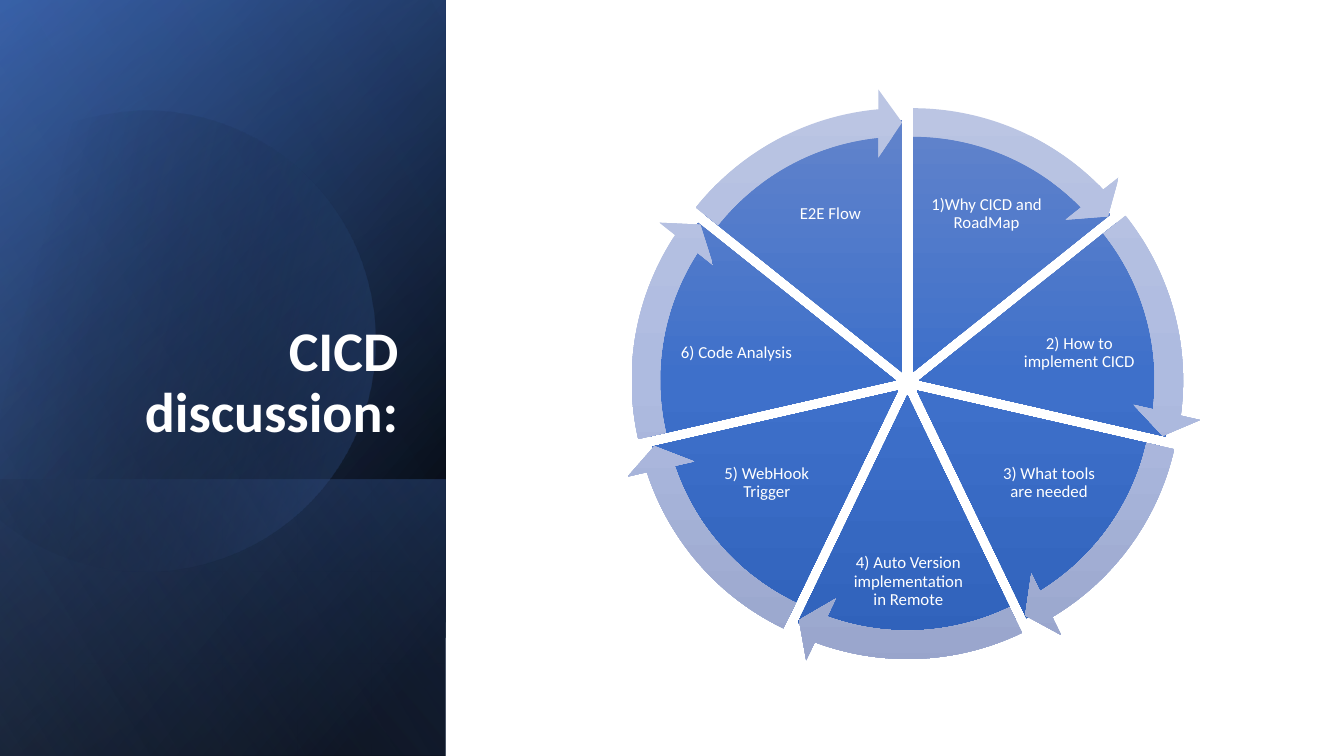
from math import cos, radians, sin

from lxml.etree import SubElement
from pptx import Presentation
from pptx.dml.color import RGBColor
from pptx.enum.shapes import MSO_SHAPE as Shape
from pptx.enum.text import MSO_ANCHOR as Anchor, PP_ALIGN as Align
from pptx.oxml.ns import qn
from pptx.util import Inches, Pt

FONT = "Calibri"
COLORS = {
    "black": "000000", "navy": "2F5597", "blue": "4472C4", "sky": "8FAADC",
    "white": "FFFFFF",
    "slice_top": "6183CB", "slice_mid": "3E70CA", "slice_end": "3062BB",
    "arrow_top": "BBC5E3", "arrow_mid": "AEBBE0", "arrow_end": "98A4CB",
}
TITLE = "CICD discussion:"
STEPS = [
    ("1)Why CICD and RoadMap", (9.19, 1.65, 1.19, 0.95)),
    ("2) How to implement CICD", (10.02, 3.08, 1.37, 0.84)),
    ("3) What tools are needed", (9.81, 4.33, 1.19, 0.92)),
    ("4) Auto Version implementation in Remote", (8.43, 5.35, 1.16, 0.84)),
    ("5) WebHook Trigger", (7.01, 4.33, 1.19, 0.92)),
    ("6) Code Analysis", (6.62, 3.08, 1.37, 0.84)),
    ("E2E Flow", (7.64, 1.65, 1.19, 0.95)),
]

PANEL = (-1.54, 1.54, 7.5, 4.42)
PANELS = [
    (PANEL, [(8, "black", 100), (100, "navy", 100)], 50),
    (PANEL, [(0, "black", 0), (99, "blue", 46)], 30),
    ((0.84, 3.92, 2.74, 4.42), [(2, "blue", 29), (100, "black", 30)], 130),
]
SHEEN = (PANEL, [(0, "black", 0), (99, "sky", 11)], 120)
GLOW_STOPS = [(29, "black", 0), (100, "blue", 43)]
GLOW_CENTER, GLOW_TURN = (1.59, 3.35), 343.9
GLOW_START = (1.49, 1.1)
GLOW_CURVES = [
    [(2.46, 1.12), (3.35, 1.77), (3.63, 2.75)],
    [(3.98, 3.97), (3.28, 5.23), (2.07, 5.58)],
    [(1.31, 5.8), (0.53, 5.61), (-0.03, 5.14)],
    [(-0.15, 5.03)],
    [(-0.15, 1.75)],
    [(0, 1.61)],
    [(0.23, 1.42), (0.5, 1.28), (0.8, 1.19)],
    [(1.03, 1.13), (1.26, 1.1), (1.49, 1.1)],
]

WHEEL_CENTER, OFFSET = (9.0, 3.8), 0.12
SLICE_SIZE, ARROW_SIZE = 5.01, 5.63
FULL_TURN, TOP = 216, 162
SLICE_STOPS = [(0, "slice_top", 100), (50, "slice_mid", 100), (100, "slice_end", 100)]
ARROW_STOPS = [(0, "arrow_top", 100), (50, "arrow_mid", 100), (100, "arrow_end", 100)]


def paint(sp, stops, angle):
    sp.shadow.inherit = False
    sp.line.fill.background()
    sp.fill.gradient()
    grad = sp.element.spPr.find(qn("a:gradFill"))
    gs_list = grad.find(qn("a:gsLst"))
    for gs in list(gs_list):
        gs_list.remove(gs)
    for pos, color, opacity in stops:
        gs = SubElement(gs_list, qn("a:gs"), pos=str(pos * 1000))
        clr = SubElement(gs, qn("a:srgbClr"), val=COLORS[color])
        if opacity < 100:
            SubElement(clr, qn("a:alpha"), val=str(opacity * 1000))
    grad.find(qn("a:lin")).set("ang", str(angle * 60000))


def add_panel(shapes, box, stops, angle):
    sp = shapes.add_shape(Shape.RECTANGLE, *map(Inches, box))
    sp.rotation = 90
    sp.element.spPr.find(qn("a:xfrm")).set("flipH", "1")
    paint(sp, stops, angle)


def bezier(p0, p1, p2, p3, t):
    u = 1 - t
    return tuple(u**3 * a + 3 * u * u * t * b + 3 * u * t * t * c + t**3 * d
                 for a, b, c, d in zip(p0, p1, p2, p3))


def unturn(point):
    cx, cy = GLOW_CENTER
    dx, dy = point[0] - cx, point[1] - cy
    a = radians(-GLOW_TURN)
    return (Inches(cx + dx * cos(a) - dy * sin(a)),
            Inches(cy + dx * sin(a) + dy * cos(a)))


def add_glow(shapes):
    points = [GLOW_START]
    for curve in GLOW_CURVES:
        if len(curve) == 1:
            points += curve
        else:
            start = points[-1]
            points += [bezier(start, *curve, n / 24) for n in range(1, 25)]
    points = [unturn(p) for p in points]
    builder = shapes.build_freeform(*points[0])
    builder.add_line_segments(points[1:], close=True)
    sp = builder.convert_to_shape()
    sp.rotation = GLOW_TURN
    paint(sp, GLOW_STOPS, 30)


def write(tf, text, size, align, anchor, bold=False):
    tf.word_wrap = True
    tf.vertical_anchor = anchor
    p = tf.paragraphs[0]
    p.alignment = align
    p.line_spacing = 0.9
    r = p.add_run()
    r.text = text
    r.font.name, r.font.size, r.font.bold = FONT, Pt(size), bold
    r.font.color.rgb = RGBColor.from_string(COLORS["white"])


def add_sector(shapes, kind, index, size, adjustments, stops):
    mid = radians((index + 0.5) * 360 / len(STEPS) - 90)
    left = WHEEL_CENTER[0] + OFFSET * cos(mid) - size / 2
    top = WHEEL_CENTER[1] + OFFSET * sin(mid) - size / 2
    sp = shapes.add_shape(kind, *map(Inches, (left, top, size, size)))
    for i, value in enumerate(adjustments):
        sp.adjustments[i] = value
    paint(sp, stops, 90)


def add_label(shapes, text, box):
    tf = shapes.add_textbox(*map(Inches, box)).text_frame
    tf.margin_left = tf.margin_right = Inches(0.02)
    tf.margin_top = tf.margin_bottom = Inches(0.02)
    write(tf, text, 12, Align.CENTER, Anchor.MIDDLE)


def main():
    prs = Presentation()
    prs.slide_width, prs.slide_height = Inches(13.33), Inches(7.5)
    s = prs.slides.add_slide(prs.slide_layouts[5])

    for panel in PANELS:
        add_panel(s.shapes, *panel)
    add_glow(s.shapes)
    add_panel(s.shapes, *SHEEN)

    title = s.shapes.title
    title.left, title.top, title.width, title.height = map(Inches, (0.64, 1.84, 3.41, 2.62))
    write(title.text_frame, TITLE, 40, Align.RIGHT, Anchor.BOTTOM, bold=True)
    title.element.getparent().append(title.element)

    wheel = s.shapes.add_group_shape().shapes
    step = FULL_TURN / len(STEPS)
    spans = [((TOP + i * step) % FULL_TURN, (TOP + (i + 1) * step) % FULL_TURN)
             for i in range(len(STEPS))]
    for i, (text, box) in enumerate(STEPS):
        add_sector(wheel, Shape.PIE, i, SLICE_SIZE, spans[i], SLICE_STOPS)
        add_label(wheel, text, box)
    for i, (start, end) in enumerate(spans):
        tip = (end - 3.28) % FULL_TURN
        add_sector(wheel, Shape.CIRCULAR_ARROW, i, ARROW_SIZE,
                   (0.05, 3.28, tip, start, 0.06), ARROW_STOPS)

    prs.save("out.pptx")


if __name__ == "__main__":
    main()
